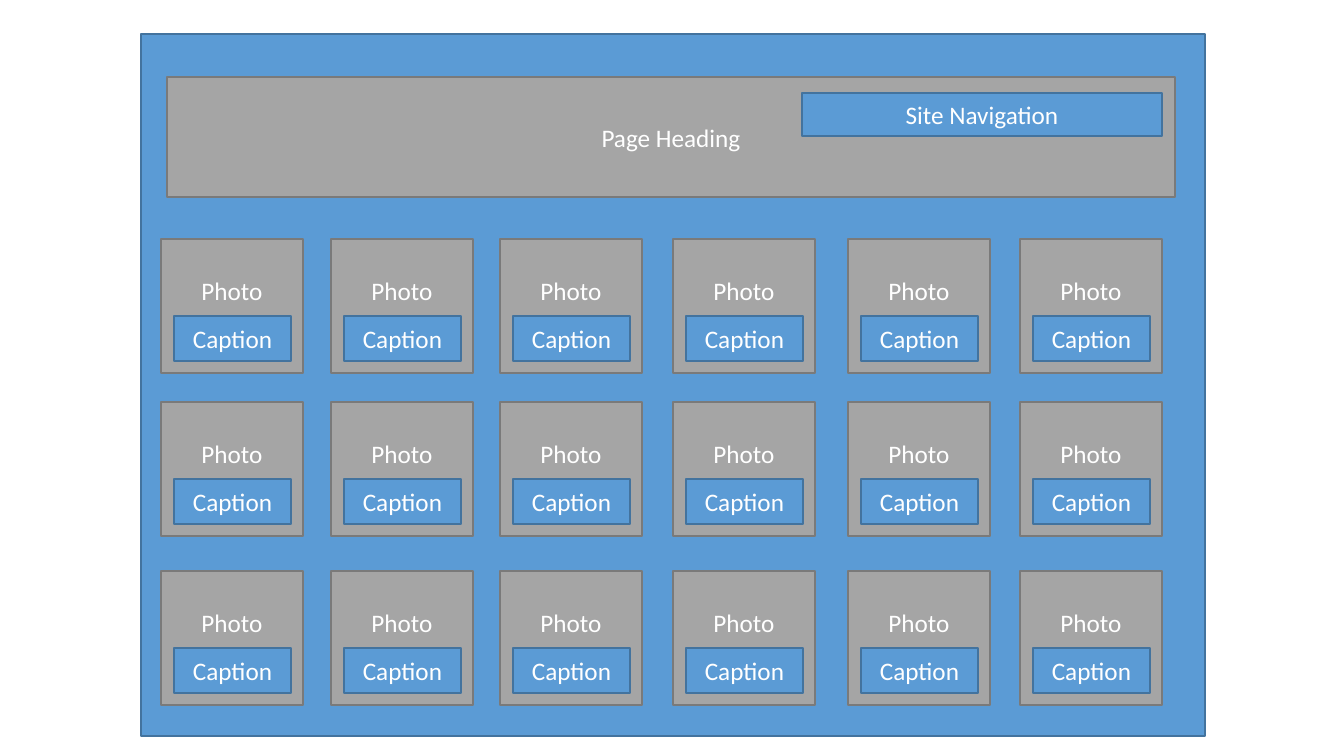
from pptx import Presentation
from pptx.dml.color import RGBColor
from pptx.enum.shapes import MSO_SHAPE
from pptx.enum.text import MSO_ANCHOR, PP_ALIGN
from pptx.util import Pt

RECTANGLE = MSO_SHAPE.RECTANGLE
MIDDLE = MSO_ANCHOR.MIDDLE
CENTER = PP_ALIGN.CENTER
EMU_PER_PIXEL = 914400 / 100.8
COLORS = {
    "blue": "5B9BD5", "blue_line": "43739E",
    "gray": "A5A5A5", "gray_line": "7A7A7A",
    "white": "FFFFFF",
}
FONT = {"name": "Calibri", "size": Pt(18)}
FRAME = {"word_wrap": True, "vertical_anchor": MIDDLE}
COLUMNS = (20, 190, 359, 532, 707, 879)
ROWS = (205, 368, 537)


def emu(pixels):
    """Turn pixels into EMU."""
    return round(pixels * EMU_PER_PIXEL)


def color(name):
    """Look up a named colour."""
    return RGBColor.from_string(COLORS[name])


def apply(target, values):
    """Set each attribute in a dict of format values."""
    for name, value in values.items():
        setattr(target, name, value)


def add_panel(shapes, box, tone, text="", **frame_values):
    """Add an outlined rectangle with an optional centred label."""
    panel = shapes.add_shape(RECTANGLE, *map(emu, box))
    panel.shadow.inherit = False
    panel.fill.solid()
    panel.fill.fore_color.rgb = color(tone)
    panel.line.color.rgb = color(tone + "_line")
    panel.line.width = Pt(1)
    if text:
        apply(panel.text_frame, {**FRAME, **frame_values})
        para = panel.text_frame.paragraphs[0]
        para.alignment = CENTER
        span = para.add_run()
        span.text = text
        apply(span.font, FONT)
        span.font.color.rgb = color("white")


def add_heading(shapes, box):
    """Add the page heading with the site navigation inside it."""
    left, top, _, _ = box
    add_panel(shapes, box, "gray", "Page Heading")
    add_panel(shapes, (left + 635, top + 16, 360, 43), "blue", "Site Navigation")


def add_photo(shapes, box):
    """Add a photo tile with its caption near the bottom."""
    left, top, _, _ = box
    add_panel(shapes, box, "gray", "Photo", margin_bottom=emu(36))
    add_panel(shapes, (left + 13, top + 77, 117, 45), "blue", "Caption")


def add_gallery_page(page, box):
    """Add the gallery wireframe: backdrop, heading and rows of photos."""
    left, top, _, _ = box
    add_panel(page.shapes, box, "blue")
    add_heading(page.shapes, (left + 26, top + 43, 1008, 120))
    for row in ROWS:
        group = page.shapes.add_group_shape()
        for column in COLUMNS:
            add_photo(group.shapes, (left + column, top + row, 142, 134))


deck = Presentation()
apply(deck, {"slide_width": emu(1344), "slide_height": emu(756)})
gallery = deck.slides.add_slide(deck.slide_layouts[6])
add_gallery_page(gallery, (141, 34, 1064, 702))
deck.save("out.pptx")
